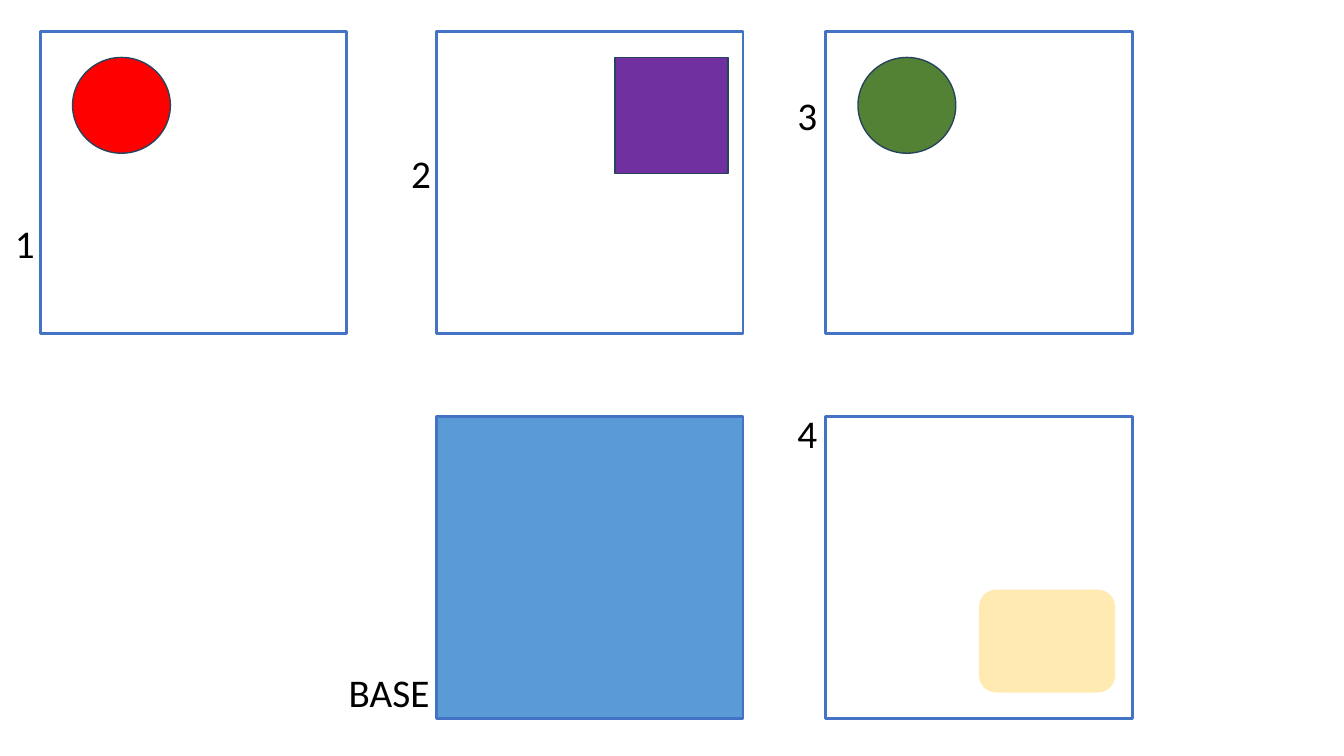
from dataclasses import dataclass

from lxml import etree
from pptx import Presentation
from pptx.dml.color import RGBColor as Rgb
from pptx.enum.shapes import MSO_SHAPE as Kind
from pptx.enum.text import MSO_AUTO_SIZE as Fit
from pptx.oxml.ns import qn
from pptx.util import Inches, Pt


@dataclass(frozen=True)
class Theme:
    font: str = "Calibri"
    size: int = 28
    text: str = "000000"
    frame: str = "4472C4"
    edge: str = "28445D"
    base: str = "5B9BD5"
    red: str = "FF0000"
    violet: str = "7030A0"
    green: str = "548235"
    sand: str = "FFD966"


THEME = Theme()
SIDE = (3.04, 3)
COLS = (0.4, 4.33, 8.19)
ROWS = (0.31, 4.13)


def add_form(shapes, kind, box, fill=None, line=None, width=1, alpha=None):
    form = shapes.add_shape(kind, *map(Inches, box))
    form.shadow.inherit = False
    if fill:
        form.fill.solid()
        form.fill.fore_color.rgb = Rgb.from_string(fill)
    else:
        form.fill.background()
    if alpha:
        color = form.fill._xPr.find(qn("a:solidFill"))[0]
        etree.SubElement(color, qn("a:alpha")).set("val", str(alpha * 1000))
    if line:
        form.line.color.rgb = Rgb.from_string(line)
        form.line.width = Pt(width)
    else:
        form.line.fill.background()


def add_label(shapes, text, box):
    label = shapes.add_textbox(*map(Inches, box))
    frame = label.text_frame
    frame.word_wrap = False
    frame.auto_size = Fit.SHAPE_TO_FIT_TEXT
    frame.text = text
    font = frame.paragraphs[0].runs[0].font
    font.name = THEME.font
    font.size = Pt(THEME.size)
    font.color.rgb = Rgb.from_string(THEME.text)


def add_base(shapes, left, top):
    add_form(shapes, Kind.RECTANGLE, (left, top, *SIDE), THEME.base, THEME.frame, 2)
    add_label(shapes, "BASE", (left - 0.97, top + 2.45, 1.05, 0.57))


def add_layer(shapes, left, top, text, shift, mark):
    """Outlined square with one mark and a number on its left."""
    group = shapes.add_group_shape().shapes
    kind, (x, y, wide, high), *style = mark
    add_form(group, Kind.RECTANGLE, (left, top, *SIDE), None, THEME.frame, 2)
    add_form(group, kind, (left + x, top + y, wide, high), *style)
    add_label(group, text, (left + shift[0], top + shift[1], 0.37, 0.57))


def main():
    deck = Presentation()
    deck.slide_width, deck.slide_height = Inches(13.33), Inches(7.5)
    shapes = deck.slides.add_slide(deck.slide_layouts[6]).shapes

    # Base square
    add_base(shapes, COLS[1], ROWS[1])

    # Numbered layers: column, row, label shift, mark
    disc = (0.32, 0.26, 0.97, 0.95)
    block = (1.77, 0.26, 1.12, 1.15)
    card = (1.52, 1.72, 1.35, 1.02)
    layers = (
        (0, 0, (-0.35, 1.82), (Kind.OVAL, disc, THEME.red, THEME.edge)),
        (1, 0, (-0.35, 1.12), (Kind.RECTANGLE, block, THEME.violet, THEME.edge)),
        (2, 0, (-0.38, 0.55), (Kind.OVAL, disc, THEME.green, THEME.edge)),
        (2, 1, (-0.38, -0.12),
         (Kind.ROUNDED_RECTANGLE, card, THEME.sand, None, 1, 50)),
    )
    for num, (col, row, shift, mark) in enumerate(layers, 1):
        add_layer(shapes, COLS[col], ROWS[row], str(num), shift, mark)

    deck.save("out.pptx")


if __name__ == "__main__":
    main()
